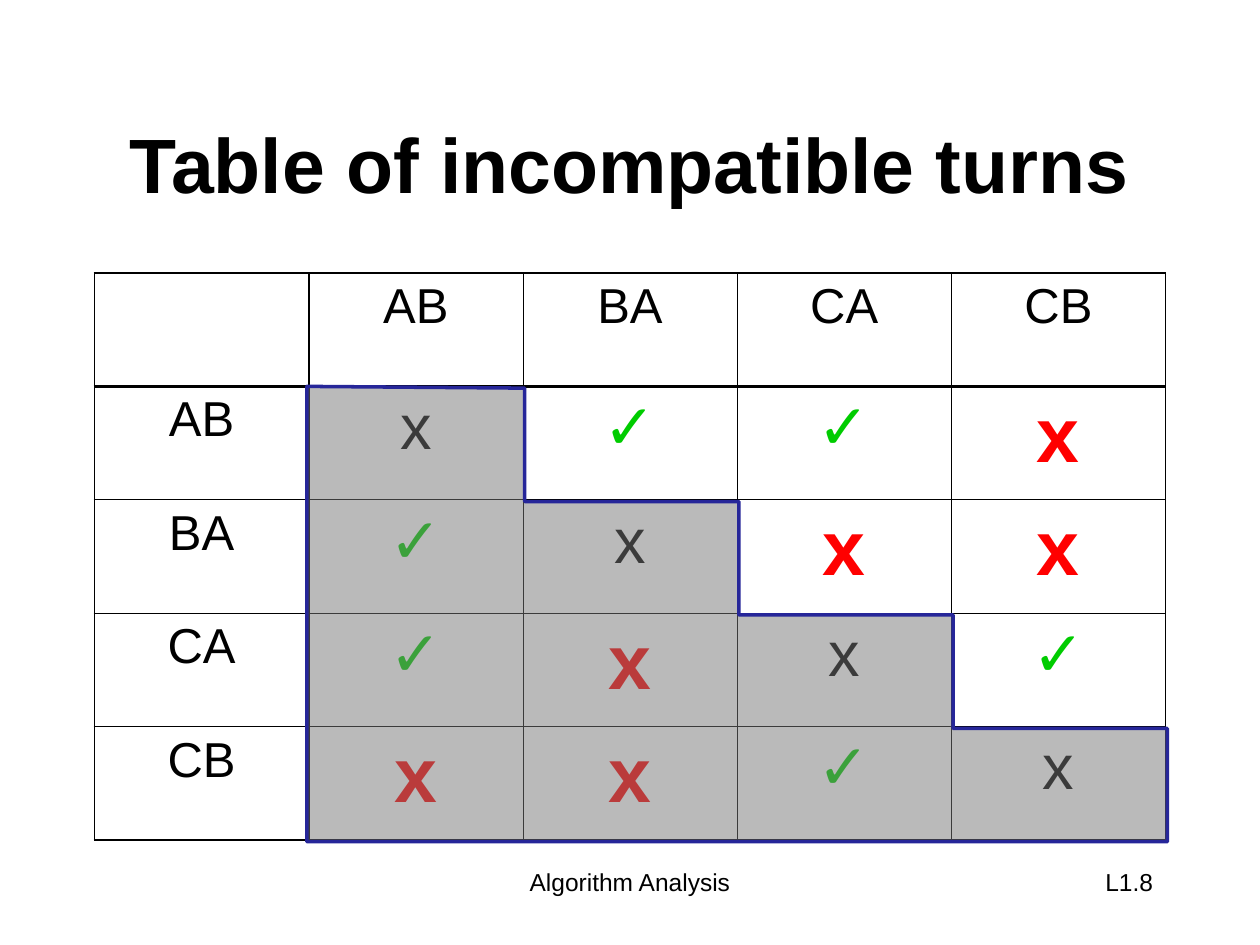
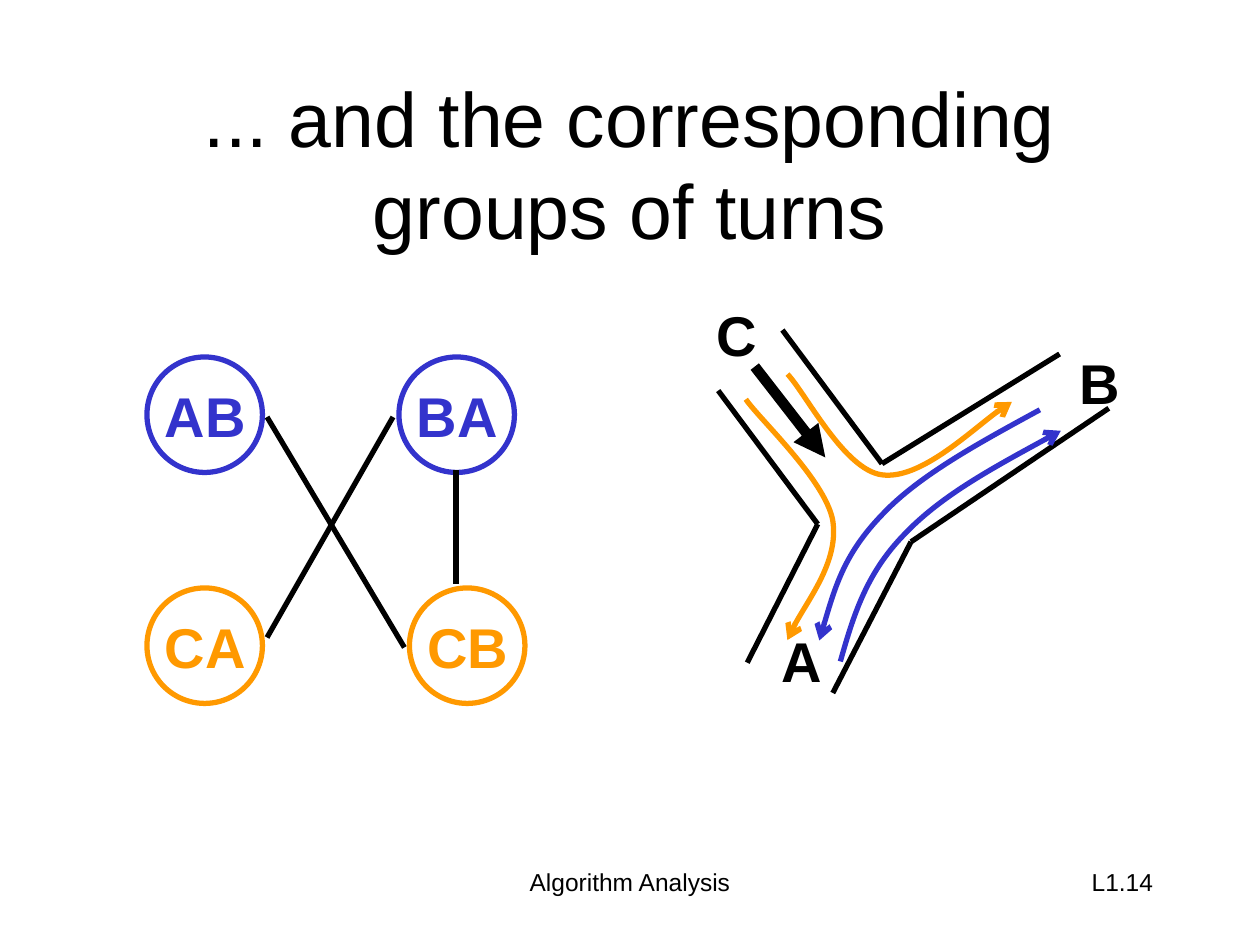
from lxml.etree import SubElement
from pptx import Presentation
from pptx.dml.color import RGBColor
from pptx.enum.shapes import MSO_CONNECTOR, MSO_SHAPE
from pptx.enum.text import MSO_ANCHOR, PP_ALIGN
from pptx.oxml.ns import qn
from pptx.util import Pt

STRAIGHT = MSO_CONNECTOR.STRAIGHT
OVAL = MSO_SHAPE.OVAL
LEFT, CENTER, RIGHT = PP_ALIGN.LEFT, PP_ALIGN.CENTER, PP_ALIGN.RIGHT
TOP, MIDDLE = MSO_ANCHOR.TOP, MSO_ANCHOR.MIDDLE

FONT = "Arial"
COLORS = {
    "ink": "000000",
    "paper": "FFFFFF",
    "check": "00CC00",
    "cross": "FF0000",
    "shade": "777777",
    "shade_edge": "262699",
    "blue": "3333CC",
    "orange": "FF9900",
}
BLANK_LAYOUT = 6
TITLE_BOX = (54, 48, 612, 90)
FOOTER_BOX = (246, 492, 228, 36)
NUMBER_BOX = (516, 492, 150, 36)
TABLE_BOX = (54, 156, 612, 324)
GRAPH_ORIGIN = (84, 204)
ROADS_ORIGIN = (402, 168)

TURNS = ["AB", "BA", "CA", "CB"]
MARK_STYLES = {
    "same": ("x", 36, "ink", False, 9),
    "ok": ("✓", 36, "check", False, 9),
    "clash": ("x", 44, "cross", True, 11),
}
TURN_MARKS = [
    ["same", "ok", "ok", "clash"],
    ["ok", "same", "clash", "clash"],
    ["ok", "clash", "same", "ok"],
    ["clash", "clash", "ok", "same"],
]
OUTER_LINE, HEADER_LINE, INNER_LINE = 1.08, 1.47, 0.45

NODE_SIZE = 66
NODES = [
    ("AB", 0, 0, "blue"),
    ("BA", 144, 0, "blue"),
    ("CA", 0, 132, "orange"),
    ("CB", 150, 132, "orange"),
]
EDGES = [
    ((68.6, 34.3), (147.1, 166)),
    ((176.6, 64.6), (176.6, 130)),
    ((68.6, 160.3), (140.6, 34.3)),
]

ROAD_SIDES = [
    [(8.4, 55.2), (65.3, 131.5), (25, 210.7)],
    [(45.1, 20.6), (102, 97), (203.5, 34.3)],
    [(73.9, 228), (118.6, 141.6), (231.6, 65.3)],
]
ENTRY_ARROW = ((29.3, 41.5), (69.6, 93.4))
ROAD_LABELS = [("A", 37.2, 186.2), ("B", 207.8, 27.8), ("C", 0.5, 0)]
A_TO_B = [(78.2, 210), (85.4, 184.8), (92.6, 160.3), (114.2, 138),
          (135.1, 115.7), (169.7, 97), (204.2, 78.2)]
B_TO_A = [(x - 12, y - 12) for x, y in reversed(A_TO_B)]
C_TO_A = [(24.2, 60.2), (32.2, 71.8), (69.6, 106.3), (73.9, 129.4),
          (77.5, 152.4), (53, 184.1), (48, 197.8)]
C_TO_B = [(48, 45.8), (58.8, 57.4), (80.4, 100.6), (102, 103.4),
          (123.6, 106.3), (163.9, 68.2), (176.2, 61.7)]
TURN_CURVES = [(A_TO_B, "blue"), (B_TO_A, "blue"),
               (C_TO_A, "orange"), (C_TO_B, "orange")]


def rgb(name):
    return RGBColor.from_string(COLORS[name])


def shift(points, origin):
    return [(origin[0] + x, origin[1] + y) for x, y in points]


def write(frame, text, size, color="ink", bold=False, align=CENTER, before=0):
    para = frame.paragraphs[0]
    para.alignment = align
    para.space_before = Pt(before)
    span = para.add_run()
    span.text = text
    span.font.name = FONT
    span.font.size = Pt(size)
    span.font.bold = bold
    span.font.color.rgb = rgb(color)


def add_text(shapes, box, text, size, anchor=TOP, **style):
    frame = shapes.add_textbox(*map(Pt, box)).text_frame
    frame.word_wrap = True
    frame.vertical_anchor = anchor
    write(frame, text, size, **style)


def set_line(shape, color, width, arrow=None):
    shape.line.color.rgb = rgb(color)
    shape.line.width = Pt(width)
    if arrow:
        SubElement(shape.line._get_or_add_ln(), qn("a:tailEnd"), type=arrow)


def add_line(shapes, start, end, width=3, arrow=None):
    line = shapes.add_connector(STRAIGHT, *map(Pt, (*start, *end)))
    set_line(line, "ink", width, arrow)
    SubElement(line._element.spPr, qn("a:effectLst"))


def add_outline(shapes, points, close):
    corners = [(Pt(x), Pt(y)) for x, y in points]
    builder = shapes.build_freeform(*corners[0])
    builder.add_line_segments(corners[1:], close=close)
    shape = builder.convert_to_shape()
    shape.shadow.inherit = False
    return shape


def add_curve(shapes, points, color):
    curve = add_outline(shapes, points, close=False)
    curve.fill.background()
    set_line(curve, color, 3, "arrow")
    path = next(curve._element.iter(qn("a:path")))
    segments = path.findall(qn("a:lnTo"))
    for first in range(0, len(segments), 3):
        bezier = SubElement(path, qn("a:cubicBezTo"))
        for segment in segments[first:first + 3]:
            bezier.append(segment[0])
            path.remove(segment)


def set_cell_borders(cell, row, column, last):
    def width(index):
        return {0: OUTER_LINE, 1: HEADER_LINE, last + 1: OUTER_LINE}.get(index, INNER_LINE)

    sides = {"L": column, "R": column + 1, "T": row, "B": row + 1}
    properties = cell._tc.get_or_add_tcPr()
    for side, index in sides.items():
        line = SubElement(properties, qn(f"a:ln{side}"), w=str(Pt(width(index))))
        fill = SubElement(line, qn("a:solidFill"))
        SubElement(fill, qn("a:srgbClr"), val=COLORS["ink"])


def add_turn_table(page, box):
    count = len(TURNS) + 1
    table = page.shapes.add_table(count, count, *map(Pt, box)).table
    table.first_row = False
    table.horz_banding = False
    for row in range(count):
        table.rows[row].height = Pt(box[3] / count)
        table.columns[row].width = Pt(box[2] / count)
        for column in range(count):
            cell = table.cell(row, column)
            set_cell_borders(cell, row, column, count - 1)
            cell.fill.background()
            if row and column:
                text, size, color, bold, before = MARK_STYLES[TURN_MARKS[row - 1][column - 1]]
                write(cell.text_frame, text, size, color, bold, before=before)
            elif row or column:
                write(cell.text_frame, TURNS[max(row, column) - 1], 28, before=7)


def add_lower_half_shade(page, box):
    left, top, width, height = box
    count = len(TURNS) + 1
    step_x, step_y = width / count, height / count
    start_x, start_y = left + step_x - 1, top + step_y
    points = [(start_x, start_y)]
    for step in range(1, count):
        x = left + (step + 1) * step_x + 1
        points += [(x, top + step * step_y + 1), (x, top + (step + 1) * step_y + 1)]
    points.append((start_x, points[-1][1]))
    shade = add_outline(page.shapes, points, close=True)
    shade.fill.solid()
    shade.fill.fore_color.rgb = rgb("shade")
    color = next(shade._element.spPr.iter(qn("a:srgbClr")))
    SubElement(color, qn("a:alpha"), val="50000")
    set_line(shade, "shade_edge", 2)


def add_turn_graph(page, origin):
    shapes = page.shapes.add_group_shape().shapes
    for name, x, y, color in NODES:
        left, top = origin[0] + x, origin[1] + y
        node = shapes.add_shape(OVAL, *map(Pt, (left, top, NODE_SIZE, NODE_SIZE)))
        node.shadow.inherit = False
        node.fill.solid()
        node.fill.fore_color.rgb = rgb("paper")
        set_line(node, color, 3)
        add_text(shapes, (left + 3, top + 10.5, 63, 46), name, 32,
                 color=color, bold=True, align=LEFT, before=20)
    for edge in EDGES:
        add_line(shapes, *shift(edge, origin))


def add_road_junction(page, origin):
    shapes = page.shapes
    for side in ROAD_SIDES:
        outer, corner, end = shift(side, origin)
        add_line(shapes, outer, corner)
        add_line(shapes, corner, end)
    add_line(shapes, *shift(ENTRY_ARROW, origin), width=6, arrow="triangle")
    for name, x, y in ROAD_LABELS:
        add_text(shapes, (origin[0] + x, origin[1] + y, 40, 46), name, 32,
                 bold=True, align=LEFT, before=20)
    for points, color in TURN_CURVES:
        add_curve(shapes, shift(points, origin), color)


def add_page(deck, title, number, bold):
    page = deck.slides.add_slide(deck.slide_layouts[BLANK_LAYOUT])
    add_text(page.shapes, FOOTER_BOX, "Algorithm Analysis", 14)
    add_text(page.shapes, NUMBER_BOX, number, 14, align=RIGHT)
    add_text(page.shapes, TITLE_BOX, title, 44, anchor=MIDDLE, bold=bold)
    return page


def build_table_page(deck):
    page = add_page(deck, "Table of incompatible turns", "L1.8", bold=True)
    add_turn_table(page, TABLE_BOX)
    add_lower_half_shade(page, TABLE_BOX)


def build_groups_page(deck):
    page = add_page(deck, "... and the corresponding groups of turns", "L1.14", bold=False)
    add_turn_graph(page, GRAPH_ORIGIN)
    add_road_junction(page, ROADS_ORIGIN)


def main():
    deck = Presentation()
    deck.slide_width, deck.slide_height = Pt(720), Pt(540)
    build_table_page(deck)
    build_groups_page(deck)
    deck.save("out.pptx")


if __name__ == "__main__":
    main()
